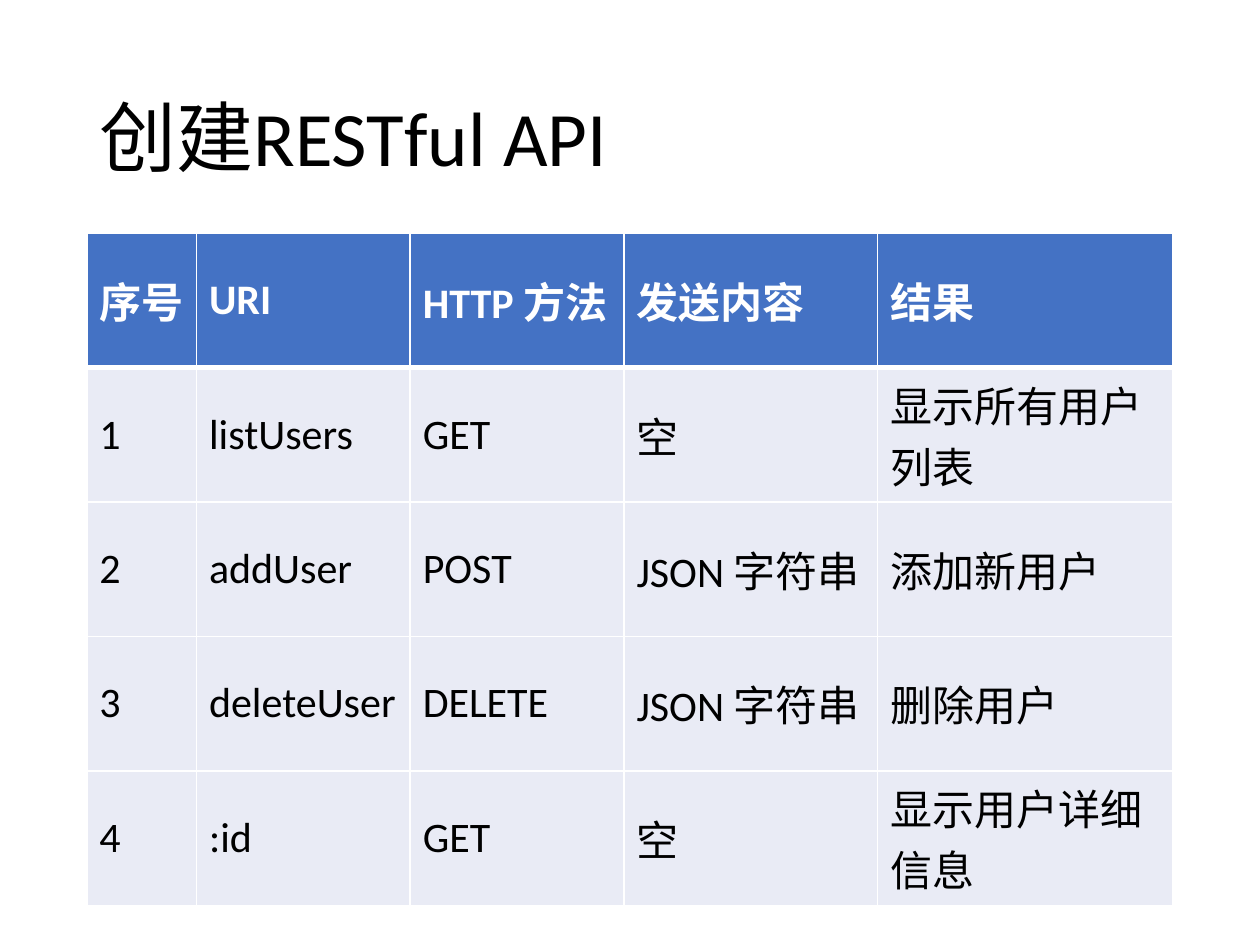
"""Build a slide with a table that lists the calls of a RESTful API."""
from lxml.etree import SubElement
from pptx import Presentation
from pptx.dml.color import RGBColor
from pptx.enum.lang import MSO_LANGUAGE_ID
from pptx.enum.text import MSO_ANCHOR
from pptx.oxml.ns import qn
from pptx.util import Cm, Pt

COLORS = {"header": "4472C4", "body": "E9EBF5", "white": "FFFFFF", "black": "000000"}
BASE = {"name": "Calibri", "language_id": MSO_LANGUAGE_ID.SIMPLIFIED_CHINESE}
TITLE_FORMAT = {**BASE, "size": Pt(44), "bold": False}
HEADER_FORMAT = {**BASE, "size": Pt(24), "bold": True}
BODY_FORMAT = {**HEADER_FORMAT, "bold": False}

LEFT, WIDTH = 1.75, 21.9
COLUMN_WIDTHS = [2.21, 4.31, 4.31, 5.11, 5.96]
ROW_HEIGHT = 2.71
API_CALLS = [
    ["序号", "URI", "HTTP 方法", "发送内容", "结果"],
    ["1", "listUsers", "GET", "空", "显示所有用户列表"],
    ["2", "addUser", "POST", "JSON 字符串", "添加新用户"],
    ["3", "deleteUser", "DELETE", "JSON 字符串", "删除用户"],
    ["4", ":id", "GET", "空", "显示用户详细信息"],
]


def write(frame, words, style, color):
    paragraph = frame.paragraphs[0]
    run = paragraph.add_run()
    run.text = words
    for attribute, value in style.items():
        setattr(run.font, attribute, value)
    run.font.color.rgb = RGBColor.from_string(COLORS[color])
    return paragraph


def add_title(slide, words):
    heading = slide.shapes.add_textbox(Cm(LEFT), Cm(1.01), Cm(WIDTH), Cm(3.68))
    frame = heading.text_frame
    frame.word_wrap = True
    frame.vertical_anchor = MSO_ANCHOR.MIDDLE
    write(frame, words, TITLE_FORMAT, "black").line_spacing = 0.9


def add_borders(cell, widths):
    properties = cell._tc.get_or_add_tcPr()
    for side, points in widths.items():
        border = SubElement(properties, qn(f"a:ln{side}"), w=str(Pt(points)))
        fill = SubElement(border, qn("a:solidFill"))
        SubElement(fill, qn("a:srgbClr"), val=COLORS["white"])


def fill_cell(cell, words, row):
    is_header = row == 0
    add_borders(cell, {"L": 1, "R": 1, "T": 3 if row == 1 else 1, "B": 3 if is_header else 1})
    cell.fill.solid()
    cell.fill.fore_color.rgb = RGBColor.from_string(COLORS["header" if is_header else "body"])
    cell.vertical_anchor = MSO_ANCHOR.MIDDLE
    write(cell.text_frame, words, HEADER_FORMAT if is_header else BODY_FORMAT,
          "white" if is_header else "black")


def add_api_table(slide, calls):
    api = slide.shapes.add_table(len(calls), len(COLUMN_WIDTHS), Cm(LEFT), Cm(4.7),
                                 Cm(WIDTH), Cm(ROW_HEIGHT * len(calls))).table
    for column, width in zip(api.columns, COLUMN_WIDTHS):
        column.width = Cm(width)
    for row, call in enumerate(calls):
        api.rows[row].height = Cm(ROW_HEIGHT)
        for column, words in enumerate(call):
            fill_cell(api.cell(row, column), words, row)


def main():
    deck = Presentation()
    deck.slide_width, deck.slide_height = Cm(25.4), Cm(19.05)
    slide = deck.slides.add_slide(deck.slide_layouts[6])
    add_title(slide, "创建RESTful API")
    add_api_table(slide, API_CALLS)
    deck.save("out.pptx")


main()
